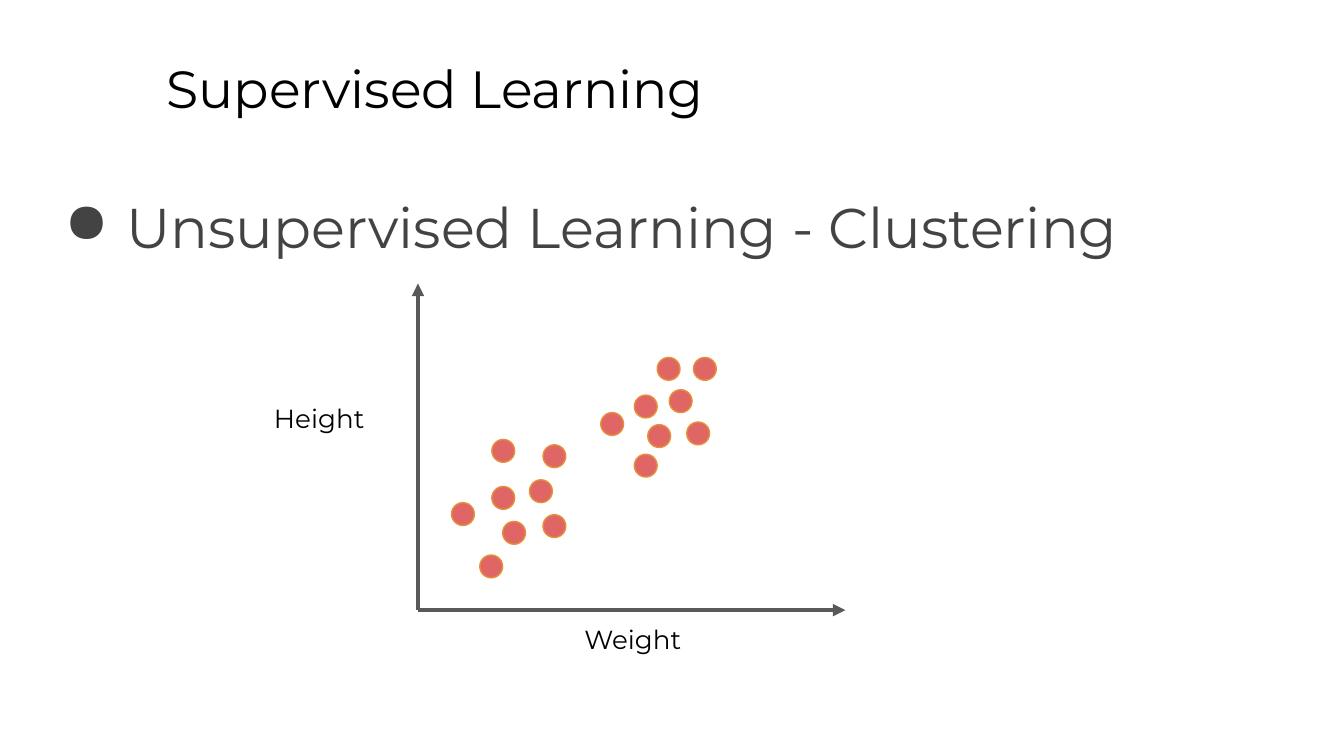
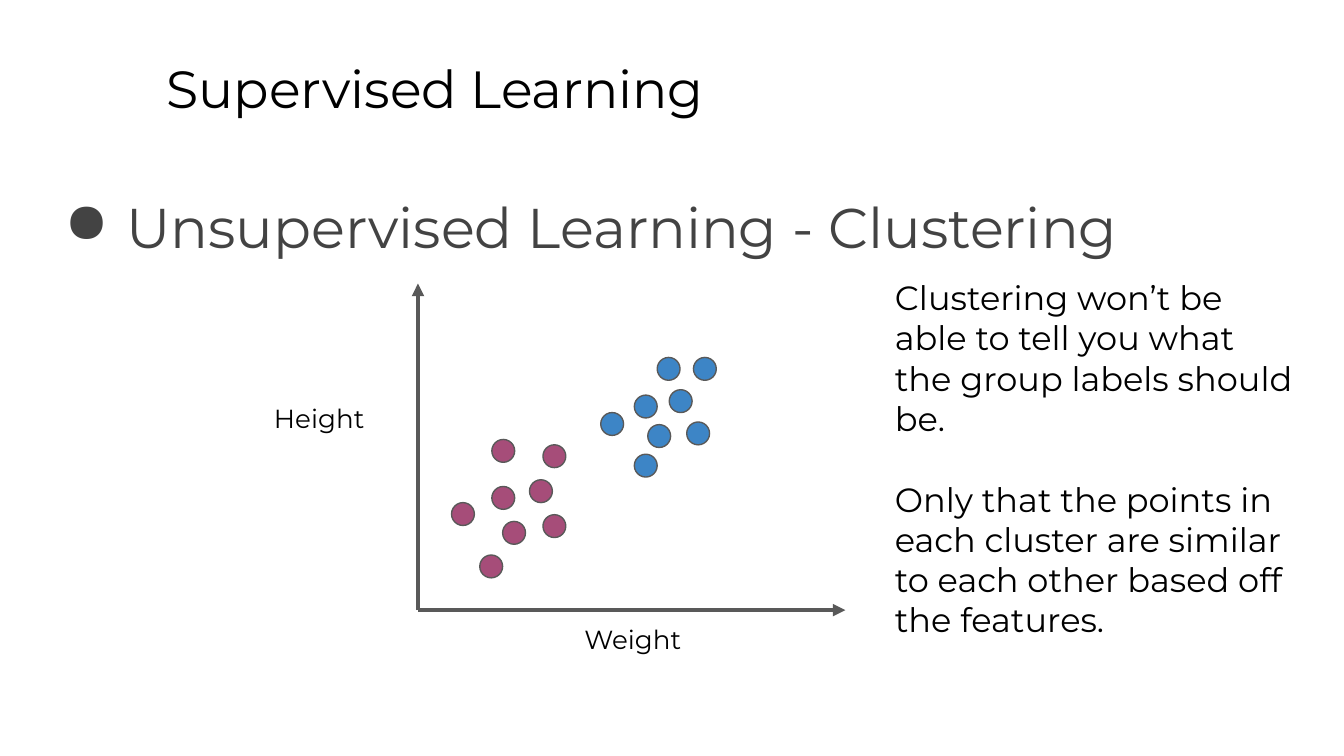
"""Builds two slides on clustering, before and after the groups are found."""
import pptx
import pptx.util
import pptx.dml.color
import pptx.enum.shapes
import pptx.enum.text
import pptx.oxml
import pptx.oxml.ns

Inches, Pt = pptx.util.Inches, pptx.util.Pt
RGB = pptx.dml.color.RGBColor.from_string
FONT = "Montserrat"
DOT = 0.17
COLORS = {
    "white": "FFFFFF", "black": "000000", "text": "434343", "axis": "595959",
    "red": "E06666", "orange": "E69138", "plum": "A64D79", "blue": "3D85C6",
}
LOW = [(3.66, 3.62), (4.04, 3.31), (3.57, 4.13), (4.04, 3.83),
       (3.94, 3.57), (3.66, 3.27), (3.36, 3.74), (3.74, 3.88)]
HIGH = [(4.72, 2.94), (4.72, 3.38), (5.11, 3.14), (5.16, 2.66),
        (4.89, 2.66), (4.47, 3.07), (4.98, 2.9), (4.82, 3.16)]
LABELS = [("Height", 1.94, 2.89), ("Weight", 4.25, 4.54)]
NOTE = ("Clustering won’t be able to tell you what the group labels should be.\n"
        "Only that the points in each cluster are similar to each other "
        "based off the features.")
VIEWS = [("red", "red", "orange", ""), ("plum", "blue", "axis", NOTE)]


def write(shape, text, size, color="black"):
    frame = shape.text_frame
    frame.text = text
    frame.word_wrap = True
    frame.auto_size = pptx.enum.text.MSO_AUTO_SIZE.NONE
    frame.vertical_anchor = pptx.enum.text.MSO_ANCHOR.TOP
    frame.margin_left = frame.margin_right = Inches(0.1)
    frame.margin_top = frame.margin_bottom = Inches(0.1)
    for para in frame.paragraphs:
        para.alignment = pptx.enum.text.PP_ALIGN.LEFT
        para.line_spacing = 1.0
        para.space_before = Pt(0)
        for run in para.runs:
            run.font.name = FONT
            run.font.size = Pt(size)
            run.font.color.rgb = RGB(COLORS[color])
    return frame.paragraphs


def add(parent, tag, **attrs):
    node = pptx.oxml.parse_xml(f"<a:{tag} {pptx.oxml.ns.nsdecls('a')}/>")
    for key, value in attrs.items():
        node.set(key, value)
    parent.append(node)
    return node


deck = pptx.Presentation()
deck.slide_width = Inches(10)
deck.slide_height = deck.slide_width * 9 // 16

for low, high, edge, note in VIEWS:
    slide = deck.slides.add_slide(deck.slide_layouts[5])
    slide.background.fill.solid()
    slide.background.fill.fore_color.rgb = RGB(COLORS["white"])

    title = slide.shapes.title
    title.left, title.top = Inches(1.14), Inches(0.32)
    title.width, title.height = Inches(8.52), Inches(0.63)
    write(title, "Supervised Learning", 28)

    body = slide.shapes.add_textbox(Inches(0.34), Inches(1.26), Inches(9.32), Inches(0.7))
    para = write(body, "Unsupervised Learning - Clustering", 30, "text")[0]
    para.line_spacing = 1.15
    props = para._p.get_or_add_pPr()
    props.set("marL", str(Inches(0.5)))
    props.set("indent", str(Inches(-0.46)))
    add(add(props, "buClr"), "srgbClr", val=COLORS["text"])
    add(props, "buChar", char="●")

    for x, y in [(3.11, 2.11), (6.29, 4.54)]:
        axis = slide.shapes.add_connector(
            pptx.enum.shapes.MSO_CONNECTOR.STRAIGHT,
            Inches(3.11), Inches(4.54), Inches(x), Inches(y))
        axis.line.color.rgb = RGB(COLORS["axis"])
        axis.line.width = Pt(2.25)
        add(axis.line._get_or_add_ln(), "tailEnd", type="triangle")
        add(axis._element.spPr, "effectLst")

    for text, x, y in LABELS:
        label = slide.shapes.add_textbox(Inches(x), Inches(y), Inches(1.31), Inches(0.49))
        write(label, text, 14)

    for color, points in [(low, LOW), (high, HIGH)]:
        for x, y in points:
            dot = slide.shapes.add_shape(
                pptx.enum.shapes.MSO_SHAPE.OVAL,
                Inches(x), Inches(y), Inches(DOT), Inches(DOT))
            dot.shadow.inherit = False
            dot.fill.solid()
            dot.fill.fore_color.rgb = RGB(COLORS[color])
            dot.line.color.rgb = RGB(COLORS[edge])
            dot.line.width = Pt(0.75)

    if note:
        box = slide.shapes.add_textbox(Inches(6.56), Inches(1.96), Inches(3.18), Inches(2.89))
        write(box, note, 18)[1].space_before = Pt(21.6)

deck.save("out.pptx")
